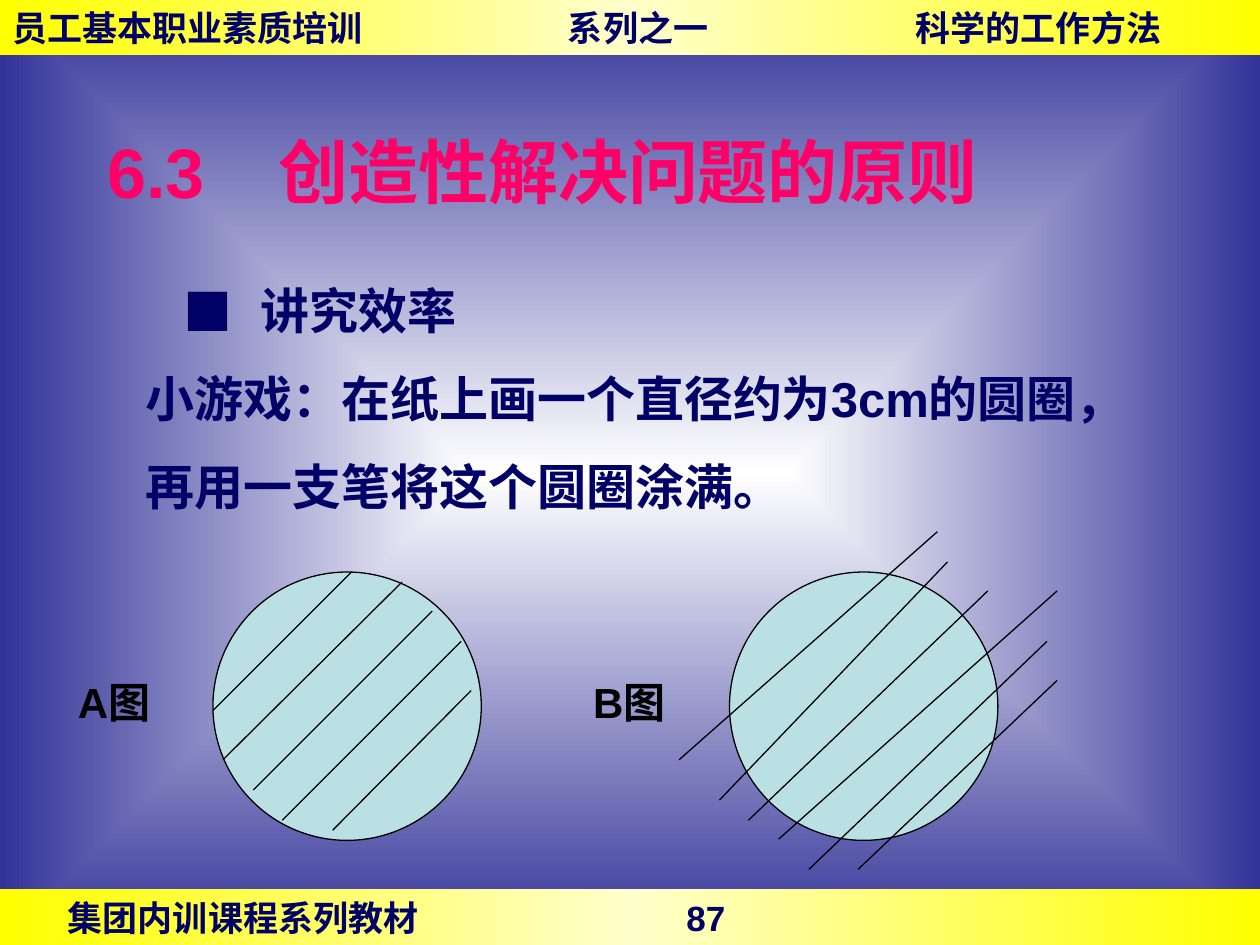
from typing import NamedTuple

from lxml.etree import SubElement
from pptx import Presentation
from pptx.dml.color import RGBColor
from pptx.enum.shapes import MSO_CONNECTOR, MSO_SHAPE
from pptx.enum.text import MSO_ANCHOR, MSO_AUTO_SIZE, PP_ALIGN
from pptx.oxml.ns import qn
from pptx.util import Pt

EMU_PER_PX = 9144  # 100 px to the inch
LATIN_FONT = "Arial"
CHINESE_FONT = "Noto Sans CJK SC"
COLORS = {
    "navy": "000066",
    "pink": "FF0066",
    "black": "000000",
    "circle": "BBE0E3",
    "white": "FFFFFF",
    "indigo": "333399",
    "yellow": "FFFF00",
    "cream": "FFFFCC",
}


class Bar(NamedTuple):
    top: int
    height: int
    text: str
    tabs: tuple[int, ...]


class Stroke(NamedTuple):
    x1: int
    y1: int
    x2: int
    y2: int


class Figure(NamedTuple):
    label: str
    label_left: int
    circle_left: int
    strokes: tuple[Stroke, ...]


BARS = (
    Bar(706, 44, "\t集团内训课程系列教材\t87", (44, 535)),
    Bar(0, 44, "员工基本职业素质培训\t系列之一\t科学的工作方法", (441, 717)),
)
FIGURES = (
    Figure("A图", 48, 169, (
        Stroke(279, 454, 169, 564),
        Stroke(319, 462, 177, 603),
        Stroke(343, 485, 201, 627),
        Stroke(366, 509, 224, 651),
        Stroke(374, 548, 264, 659),
    )),
    Figure("B图", 457, 579, (
        Stroke(784, 469, 594, 651),
        Stroke(839, 469, 618, 666),
        Stroke(831, 509, 642, 690),
        Stroke(839, 540, 681, 690),
        Stroke(752, 446, 571, 635),
        Stroke(744, 422, 539, 603),
    )),
)


def px(*lengths: int) -> list[int]:
    return [length * EMU_PER_PX for length in lengths]


def color(name: str) -> RGBColor:
    return RGBColor.from_string(COLORS[name])


def set_gradient(fill, owner, stops: dict[int, str], centered: bool = False) -> None:
    """Fill with stops given in percent, outward from the centre or along a line."""
    fill.gradient()
    gradient = next(owner.iter(qn("a:gradFill")))
    for child in list(gradient):
        gradient.remove(child)
    stop_list = SubElement(gradient, qn("a:gsLst"))
    for percent, name in stops.items():
        stop = SubElement(stop_list, qn("a:gs"), pos=str(percent * 1000))
        SubElement(stop, qn("a:srgbClr"), val=COLORS[name])
    if centered:
        shade = SubElement(gradient, qn("a:path"), path="rect")
        SubElement(shade, qn("a:fillToRect"), dict.fromkeys("ltrb", "50000"))
    else:
        SubElement(gradient, qn("a:lin"), ang="10800000", scaled="0")


def write(para, text: str, *, size: int, ink: str, align=PP_ALIGN.LEFT,
          spacing: float = 1.0, tabs: tuple[int, ...] = (), bullet: str = "",
          margin: int = 0, indent: int = 0) -> None:
    para.alignment = align
    para.line_spacing = spacing
    properties = para._p.get_or_add_pPr()
    if bullet:
        properties.set("marL", str(margin * EMU_PER_PX))
        properties.set("indent", str(indent * EMU_PER_PX))
        SubElement(properties, qn("a:buFont"), typeface=CHINESE_FONT)
        SubElement(properties, qn("a:buChar"), char=bullet)
    if tabs:
        tab_list = SubElement(properties, qn("a:tabLst"))
        for position in tabs:
            SubElement(tab_list, qn("a:tab"), pos=str(position * EMU_PER_PX), algn="l")
    span = para.add_run()
    span.text = text
    font = span.font
    font.size, font.bold, font.name = Pt(size), True, LATIN_FONT
    font.color.rgb = color(ink)
    SubElement(span._r.get_or_add_rPr(), qn("a:ea"), typeface=CHINESE_FONT)


def draw_bar(page, bar: Bar) -> None:
    box = page.shapes.add_shape(MSO_SHAPE.RECTANGLE, *px(0, bar.top, 1000, bar.height))
    box.shadow.inherit = False
    box.line.fill.background()
    set_gradient(box.fill, box.element, {0: "yellow", 50: "cream", 100: "yellow"})
    box.text_frame.vertical_anchor = MSO_ANCHOR.MIDDLE
    write(box.text_frame.paragraphs[0], bar.text, size=20, ink="navy", tabs=bar.tabs)


def draw_title(page) -> None:
    title = page.shapes.title
    title.left, title.top, title.width, title.height = px(75, 68, 740, 134)
    title.text_frame.vertical_anchor = MSO_ANCHOR.MIDDLE
    write(title.text_frame.paragraphs[0], "6.3\t创造性解决问题的原则",
          size=40, ink="pink", tabs=(136,))


def add_text_frame(page, left: int, top: int, width: int, height: int, wrap: bool):
    frame = page.shapes.add_textbox(*px(left, top, width, height)).text_frame
    frame.word_wrap = wrap
    frame.auto_size = MSO_AUTO_SIZE.SHAPE_TO_FIT_TEXT
    return frame


def draw_game(page) -> None:
    frame = add_text_frame(page, 106, 194, 811, 220, wrap=True)
    write(frame.paragraphs[0], "讲究效率", size=28, ink="navy", spacing=1.5,
          bullet="■", margin=91, indent=-61)
    write(frame.add_paragraph(),
          "小游戏：在纸上画一个直径约为3cm的圆圈，再用一支笔将这个圆圈涂满。",
          size=28, ink="navy", spacing=1.5)


def draw_stroke(page, stroke: Stroke) -> None:
    line = page.shapes.add_connector(MSO_CONNECTOR.STRAIGHT, *px(*stroke))
    line.line.color.rgb = color("black")
    line.line.width = Pt(0.75)
    SubElement(line.element.spPr, qn("a:effectLst"))


def draw_figure(page, figure: Figure) -> None:
    circle = page.shapes.add_shape(MSO_SHAPE.OVAL, *px(figure.circle_left, 454, 213, 213))
    circle.shadow.inherit = False
    circle.fill.solid()
    circle.fill.fore_color.rgb = color("circle")
    circle.line.color.rgb = color("black")
    circle.line.width = Pt(0.75)
    for stroke in figure.strokes:
        draw_stroke(page, stroke)
    frame = add_text_frame(page, figure.label_left, 532, 85, 50, wrap=False)
    write(frame.paragraphs[0], figure.label, size=24, ink="black", align=PP_ALIGN.CENTER)


def main() -> None:
    deck = Presentation()
    deck.slide_width, deck.slide_height = px(1000, 750)
    page = deck.slides.add_slide(deck.slide_layouts[5])
    set_gradient(page.background.fill, page.element, {0: "white", 100: "indigo"},
                 centered=True)
    for bar in BARS:
        draw_bar(page, bar)
    draw_title(page)
    draw_game(page)
    for figure in FIGURES:
        draw_figure(page, figure)
    deck.save("out.pptx")


if __name__ == "__main__":
    main()
